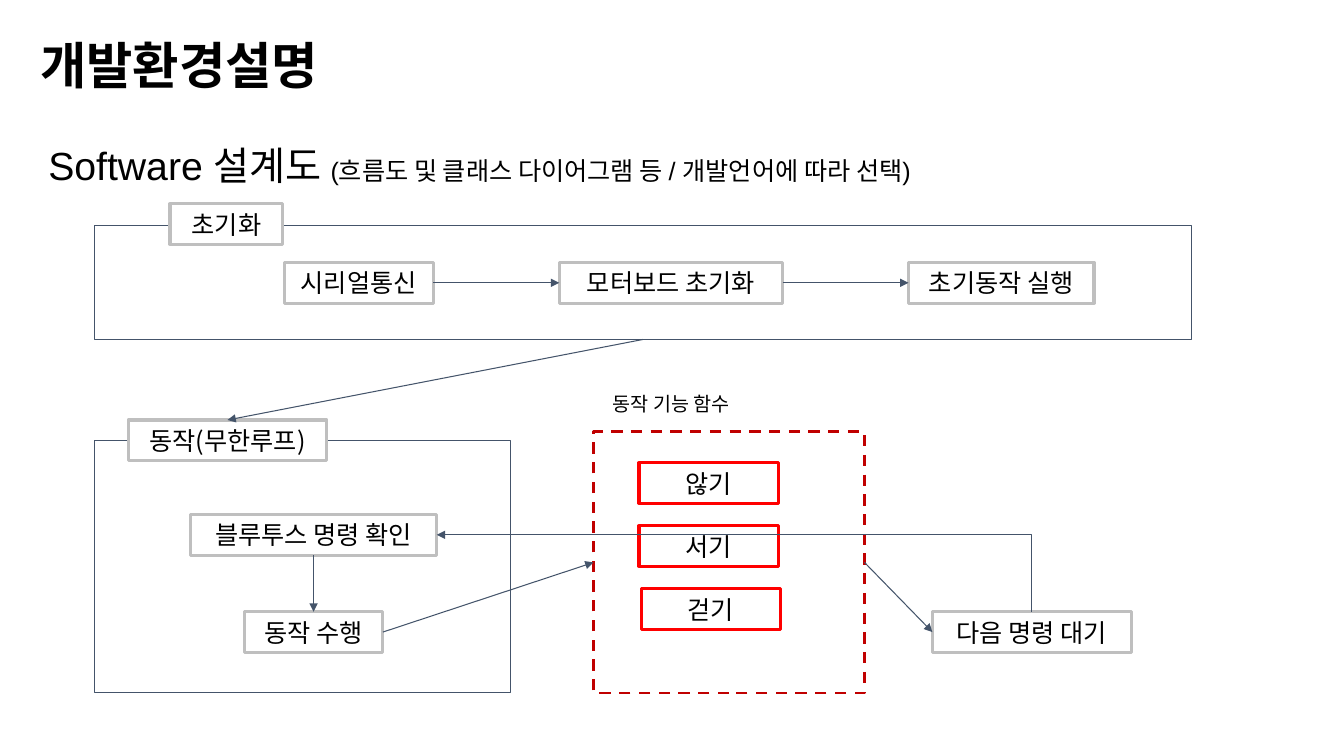
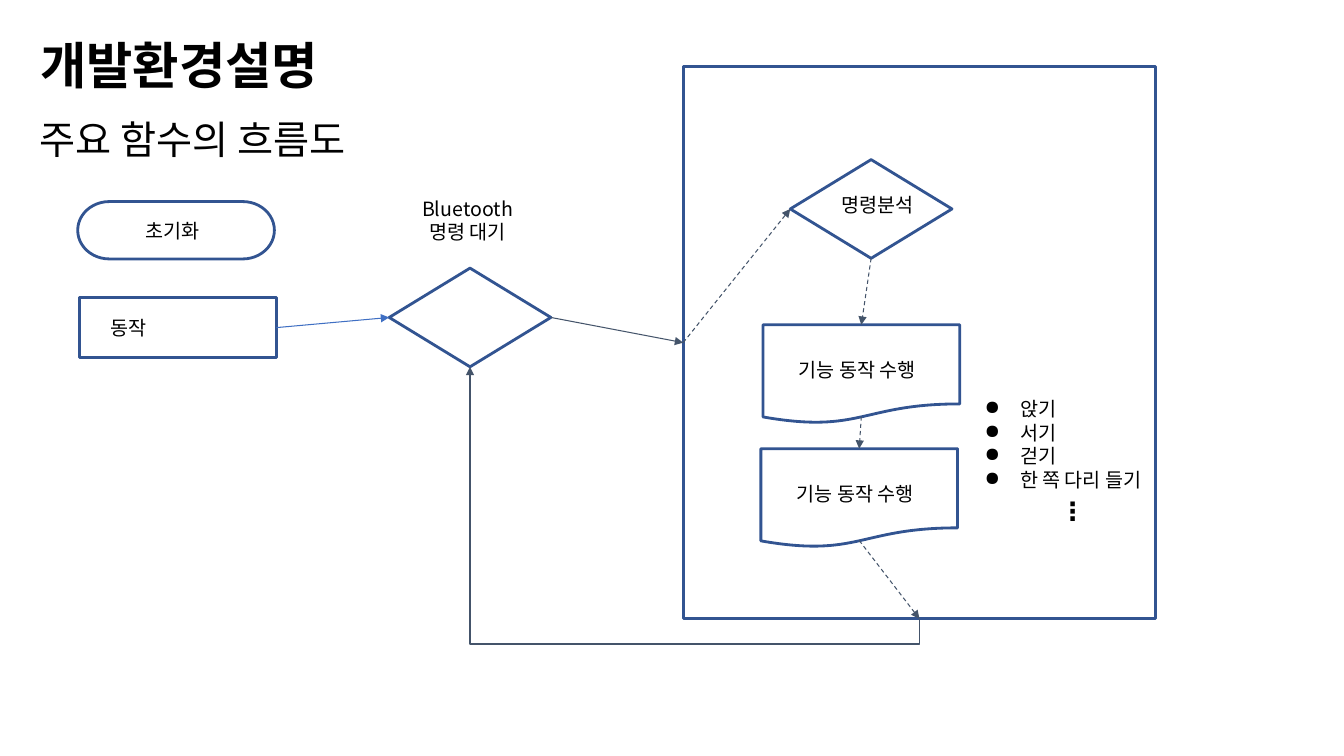
from dataclasses import dataclass

from lxml.etree import SubElement
from pptx import Presentation
from pptx.dml.color import RGBColor
from pptx.enum.dml import MSO_LINE_DASH_STYLE as Dash
from pptx.enum.shapes import MSO_CONNECTOR as Connector, MSO_SHAPE as Shape
from pptx.enum.text import MSO_ANCHOR as Anchor, MSO_AUTO_SIZE as AutoSize, PP_ALIGN as Align
from pptx.oxml.ns import qn
from pptx.util import Pt

TOP, LEFT, BOTTOM, RIGHT = range(4)
TITLE_ONLY = 5


@dataclass(frozen=True)
class Theme:
    black: RGBColor = RGBColor(0, 0, 0)
    white: RGBColor = RGBColor(255, 255, 255)
    slate: RGBColor = RGBColor.from_string("44546A")
    gray: RGBColor = RGBColor.from_string("BFBFBF")
    red: RGBColor = RGBColor.from_string("FF0000")
    dark_red: RGBColor = RGBColor.from_string("C00000")
    blue: RGBColor = RGBColor.from_string("325491")
    light_blue: RGBColor = RGBColor.from_string("3F6FC3")
    korean_font: str = "Noto Sans CJK KR"
    latin_font: str = "Arial"
    title_size: int = 36
    subtitle_size: int = 28
    node_size: int = 18
    label_size: int = 14
    thin: float = 0.75
    outline: float = 2
    node_line: float = 2.25
    node_height: float = 29
    label_height: float = 24.5


THEME = Theme()


def add_run(paragraph, text, size, font=THEME.korean_font, bold=False):
    run = paragraph.add_run()
    run.text = text
    run.font.size = Pt(size)
    run.font.bold = bold
    run.font.color.rgb = THEME.black
    run.font.name = font
    SubElement(run.font._element, qn("a:ea"), typeface=THEME.korean_font)


def prepare_frame(shape, anchor=Anchor.TOP):
    frame = shape.text_frame
    frame.word_wrap = True
    frame.auto_size = AutoSize.NONE
    frame.vertical_anchor = anchor
    frame.margin_left = frame.margin_right = Pt(7.2)
    frame.margin_top = frame.margin_bottom = Pt(3.6)
    return frame


def add_text_box(slide, box):
    return prepare_frame(slide.shapes.add_textbox(*map(Pt, box)))


def add_label(slide, box, lines, font=THEME.korean_font, align=Align.CENTER,
              size=THEME.label_size):
    frame = add_text_box(slide, box)
    for index, line in enumerate(lines):
        paragraph = frame.add_paragraph() if index else frame.paragraphs[0]
        paragraph.alignment = align
        add_run(paragraph, line, size, font)


def add_titled_slide(presentation):
    slide = presentation.slides.add_slide(presentation.slide_layouts[TITLE_ONLY])
    title = slide.shapes.title
    title.left, title.top, title.width, title.height = map(Pt, (21.5, 21, 256, 51))
    paragraph = prepare_frame(title).paragraphs[0]
    paragraph.alignment = Align.LEFT
    add_run(paragraph, "개발환경설명", THEME.title_size, bold=True)
    return slide


def add_outline(slide, kind, box, color=THEME.blue, width=THEME.outline, dash=None, fill=None):
    shape = slide.shapes.add_shape(kind, *map(Pt, box))
    shape.shadow.inherit = False
    if fill is None:
        shape.fill.background()
    else:
        shape.fill.solid()
        shape.fill.fore_color.rgb = fill
    shape.line.color.rgb = color
    shape.line.width = Pt(width)
    if dash:
        shape.line.dash_style = dash
    return shape


def add_node(slide, text, left, top, width, color=THEME.gray, fill=None):
    box = (left, top, width, THEME.node_height)
    shape = add_outline(slide, Shape.RECTANGLE, box, color, THEME.node_line, fill=fill)
    paragraph = prepare_frame(shape, Anchor.MIDDLE).paragraphs[0]
    paragraph.alignment = Align.CENTER
    add_run(paragraph, text, THEME.node_size)
    return shape


def style_arrow(connector, color, dash):
    connector.line.color.rgb = color
    connector.line.width = Pt(THEME.thin)
    if dash:
        connector.line.dash_style = dash
    properties = connector._element.spPr
    SubElement(properties.find(qn("a:ln")), qn("a:tailEnd"), type="triangle")
    SubElement(properties, qn("a:effectLst"))


def add_arrow(slide, source, source_side, target, target_side, color=THEME.slate, dash=None):
    connector = slide.shapes.add_connector(Connector.STRAIGHT, 0, 0, 0, 0)
    connector.begin_connect(source, source_side)
    connector.end_connect(target, target_side)
    style_arrow(connector, color, dash)
    return connector


def add_document_arrow(slide, document, target):
    wave_middle = document.top + int(document.height * 0.93)
    connector = slide.shapes.add_connector(
        Connector.STRAIGHT, document.left + document.width // 2, wave_middle, 0, 0)
    return connector


def add_elbow(slide, source, source_side, target, target_side, preset, bend=None):
    connector = slide.shapes.add_connector(Connector.ELBOW, 0, 0, 0, 0)
    connector.begin_connect(source, source_side)
    connector.end_connect(target, target_side)
    center_x = connector.left + connector.width // 2
    center_y = connector.top + connector.height // 2
    connector.width, connector.height = connector.height, connector.width
    connector.left = center_x - connector.width // 2
    connector.top = center_y - connector.height // 2
    properties = connector._element.spPr
    transform = properties.find(qn("a:xfrm"))
    for name, value in (("rot", "5400000"), ("flipH", "1"), ("flipV", "0")):
        transform.set(name, value)
    geometry = properties.find(qn("a:prstGeom"))
    geometry.set("prst", preset)
    if bend is not None:
        SubElement(geometry.find(qn("a:avLst")), qn("a:gd"), name="adj1", fmla=f"val {bend}")
    style_arrow(connector, THEME.slate, None)


def leave_document(slide, document, target, target_side):
    connector = add_document_arrow(slide, document, target)
    connector.end_connect(target, target_side)
    style_arrow(connector, THEME.slate, Dash.DASH)


def add_bullets(slide, box, items):
    frame = add_text_box(slide, box)
    frame.margin_top = frame.margin_bottom = Pt(7.2)
    for index, item in enumerate(items):
        paragraph = frame.add_paragraph() if index else frame.paragraphs[0]
        properties = paragraph._element.get_or_add_pPr()
        properties.set("marL", str(Pt(36)))
        properties.set("indent", str(Pt(-25.2)))
        color = SubElement(properties, qn("a:buClr"))
        SubElement(color, qn("a:srgbClr"), val=str(THEME.black))
        SubElement(properties, qn("a:buChar"), char="●")
        add_run(paragraph, item, THEME.label_size)
    more = frame.add_paragraph()
    more.alignment = Align.CENTER
    more.line_spacing = 0.5
    more.space_before = more.space_after = Pt(12)
    add_run(more, "⋮", THEME.node_size, bold=True)


def build_software_design(presentation):
    slide = add_titled_slide(presentation)
    subtitle = add_text_box(slide, (27.5, 77, 889, 55.5)).paragraphs[0]
    subtitle.alignment = Align.JUSTIFY
    subtitle.line_spacing = 1.6
    add_run(subtitle, "Software 설계도 ", THEME.subtitle_size, THEME.latin_font)
    add_run(subtitle, "(흐름도 및 클래스 다이어그램 등 / 개발언어에 따라 선택)",
            THEME.node_size, THEME.latin_font)

    setup_frame, _ = [
        add_outline(slide, Shape.RECTANGLE, box, THEME.slate, THEME.thin)
        for box in ((67.5, 161, 783.5, 81.5), (67.5, 314.5, 297.5, 180.5))]
    add_node(slide, "초기화", 121.5, 145.5, 80.5, fill=THEME.white)
    loop_tag = add_node(slide, "동작(무한루프)", 91.5, 300, 142, fill=THEME.white)

    left, gap, previous = 203, 90, None
    for text, width in (("시리얼통신", 106.5), ("모터보드 초기화", 159.5), ("초기동작 실행", 132.5)):
        step = add_node(slide, text, left, 187.5, width)
        if previous:
            add_arrow(slide, previous, RIGHT, step, LEFT)
        previous = step
        left += width + gap

    check = add_node(slide, "블루투스 명령 확인", 136, 367.5, 176)
    perform = add_node(slide, "동작 수행", 174.5, 437, 99)
    wait = add_node(slide, "다음 명령 대기", 666, 437, 142)
    functions = add_outline(slide, Shape.RECTANGLE, (424, 308.5, 193.5, 186.5),
                            THEME.dark_red, dash=Dash.DASH)
    add_label(slide, (430.5, 276.5, 135.5, THEME.label_height), ["동작 기능 함수"],
              THEME.latin_font, Align.LEFT)
    for index, (text, left) in enumerate((("않기", 456.5), ("서기", 456.5), ("걷기", 458))):
        add_node(slide, text, left, 330.5 + 45 * index, 99.5, THEME.red)

    add_arrow(slide, setup_frame, BOTTOM, loop_tag, TOP)
    add_arrow(slide, check, BOTTOM, perform, TOP)
    add_arrow(slide, perform, RIGHT, functions, LEFT)
    add_arrow(slide, functions, RIGHT, wait, LEFT)
    add_elbow(slide, wait, TOP, check, RIGHT, "bentConnector2")


def build_function_flow(presentation):
    slide = add_titled_slide(presentation)
    add_label(slide, (21.5, 79, 319, 41), ["주요 함수의 흐름도"],
              align=Align.LEFT, size=THEME.subtitle_size)
    add_bullets(slide, (685.5, 276.5, 161.5, 116.5), ["앉기", "서기", "걷기", "한 쪽 다리 들기"])

    add_outline(slide, Shape.FLOWCHART_TERMINATOR, (55.5, 144, 140.5, 41))
    action = add_outline(slide, Shape.FLOWCHART_PROCESS, (57, 212.5, 140.5, 43))
    for text, left, top, width in (("초기화", 97, 152.5, 68.5), ("동작", 72, 222, 93.5)):
        add_label(slide, (left, top, width, THEME.label_height), [text],
                  THEME.latin_font, Align.LEFT)

    wait, analysis = [
        add_outline(slide, Shape.FLOWCHART_DECISION, (left, top, 115.5, 70.5))
        for left, top in ((278, 191.5), (564.5, 114))]
    add_label(slide, (222.5, 137, 223, 41), ["Bluetooth", "명령 대기"])
    add_label(slide, (581, 134.5, 92, THEME.label_height), ["명령분석"])

    process_frame = add_outline(slide, Shape.FLOWCHART_PROCESS, (488, 47.5, 337.5, 394.5))
    documents = []
    for left, top in ((545, 232), (543.5, 320.5)):
        documents.append(add_outline(slide, Shape.FLOWCHART_DOCUMENT, (left, top, 140.5, 70.5)))
        add_label(slide, (left - 15, top + 20, 165, THEME.label_height), ["기능 동작 수행"])
    first, second = documents

    add_arrow(slide, action, RIGHT, wait, LEFT, THEME.light_blue)
    add_arrow(slide, wait, RIGHT, process_frame, LEFT)
    add_arrow(slide, process_frame, LEFT, analysis, LEFT, dash=Dash.DASH)
    add_arrow(slide, analysis, BOTTOM, first, TOP, dash=Dash.DASH)
    leave_document(slide, first, second, TOP)
    leave_document(slide, second, process_frame, BOTTOM)
    add_elbow(slide, process_frame, BOTTOM, wait, BOTTOM, "bentConnector3", -10000)


def main():
    presentation = Presentation()
    presentation.slide_width, presentation.slide_height = Pt(960), Pt(540)
    build_software_design(presentation)
    build_function_flow(presentation)
    presentation.save("out.pptx")


if __name__ == "__main__":
    main()
